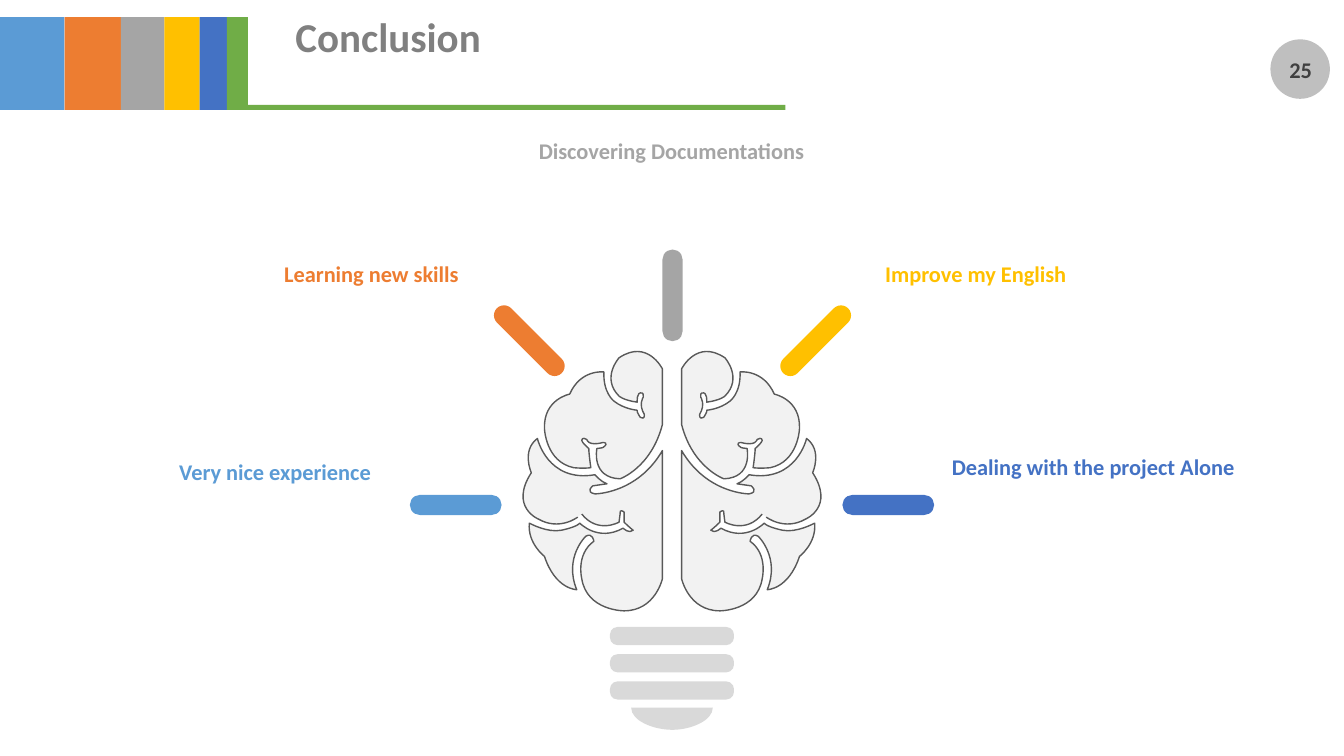
from lxml.etree import SubElement
from pptx import Presentation
from pptx.dml.color import RGBColor
from pptx.enum.shapes import MSO_SHAPE
from pptx.enum.text import MSO_ANCHOR, PP_ALIGN
from pptx.oxml.ns import qn
from pptx.util import Cm, Pt

BLUE = RGBColor(0x5B, 0x9B, 0xD5)
ORANGE = RGBColor(0xED, 0x7D, 0x31)
GRAY = RGBColor(0xA5, 0xA5, 0xA5)
GOLD = RGBColor(0xFF, 0xC0, 0x00)
NAVY = RGBColor(0x44, 0x72, 0xC4)
GREEN = RGBColor(0x70, 0xAD, 0x47)
TITLE = RGBColor(0x80, 0x80, 0x80)
BADGE = RGBColor(0xBF, 0xBF, 0xBF)
DARK = RGBColor(0x40, 0x40, 0x40)
BASE = RGBColor(0xD9, 0xD9, 0xD9)
BRAIN = RGBColor(0xF2, 0xF2, 0xF2)
EDGE = RGBColor(0x59, 0x59, 0x59)
LEFT, MID, RIGHT = PP_ALIGN.LEFT, PP_ALIGN.CENTER, PP_ALIGN.RIGHT

# Content; all numbers are inches
WIDE, HIGH = 13.33, 7.5
BARS = [(0.64, BLUE), (0.56, ORANGE), (0.43, GRAY),
        (0.35, GOLD), (0.27, NAVY), (0.21, GREEN)]
# Label, colour, label left, top, align, ray centre x, y, turn
IDEAS = [
    ("Very nice experience", BLUE, 0.6, 4.55, RIGHT, 4.52, 5.01, 0),
    ("Learning new skills", ORANGE, 1.47, 2.58, RIGHT, 5.25, 3.38, 45),
    ("Discovering Documentations", GRAY, 5.12, 1.36, MID, 6.67, 2.93, 90),
    ("Improve my English", GOLD, 8.78, 2.58, LEFT, 8.09, 3.38, -45),
    ("Dealing with the project Alone", NAVY, 9.44, 4.5, LEFT, 8.81, 5.01, 0),
]
# Outlines: 2 numbers are a line; 4 or 6 a curve (4 starts at its own point)
UPPER = [
    (6.76, 3.66), (6.91, 3.36, 7.19, 3.55), (7.37, 3.75, 7.19, 3.93),
    (7.15, 3.97, 7.01, 3.99), (7.02, 3.88, 6.96, 3.9),
    (6.94, 3.91, 6.95, 3.94), (7, 4.01, 6.94, 4.11),
    (6.93, 4.17, 6.98, 4.14), (7.02, 4.08, 7.01, 4.07),
    (7.14, 4.06, 7.24, 3.98), (7.35, 3.9, 7.34, 3.69),
    (7.57, 3.66, 7.68, 3.91), (7.94, 3.96, 7.93, 4.25),
    (7.92, 4.58, 7.64, 4.64), (7.54, 4.65, 7.47, 4.64),
    (7.49, 4.5, 7.49, 4.45), (7.56, 4.39, 7.56, 4.37),
    (7.56, 4.33, 7.51, 4.36), (7.5, 4.43, 7.35, 4.39),
    (7.28, 4.39, 7.35, 4.44), (7.39, 4.45, 7.41, 4.45),
    (7.47, 4.74, 7.18, 4.75), (6.87, 4.64, 6.76, 4.21),
]
LOWER = [
    (7.6, 5.13), (7.78, 5.27, 7.99, 5.15), (8.28, 5.03, 8.06, 4.69),
    (8.16, 4.47, 8, 4.35), (7.9, 4.79, 7.43, 4.71),
    (7.37, 4.78, 7.31, 4.8), (7.45, 4.82), (7.53, 4.88, 7.43, 4.9),
    (7.01, 4.9, 6.76, 4.47), (6.76, 5.74), (6.83, 6.06, 7.14, 6.06),
    (7.51, 6.06, 7.56, 5.74), (7.62, 5.5, 7.44, 5.37),
    (7.45, 5.28, 7.52, 5.32), (7.74, 5.53, 7.61, 5.85),
    (7.82, 5.85, 7.93, 5.52), (8.1, 5.39, 8.08, 5.19),
    (7.9, 5.29, 7.76, 5.26), (7.61, 5.23, 7.58, 5.19),
    (7.4, 5.38, 7.15, 5.24), (7.09, 5.3, 7.05, 5.26),
    (7.08, 5.24, 7.14, 5.18), (7.14, 5.08), (7.19, 5.04, 7.18, 5.1),
    (7.19, 5.18), (7.4, 5.3, 7.56, 5.1),
]
CAP = [(6.26, 7.02), (7.07, 7.02), (7.07, 7.15, 6.85, 7.24, 6.67, 7.24),
       (6.48, 7.24, 6.26, 7.15, 6.26, 7.02)]


def size(n):
    return Cm(n * 2.54)


deck = Presentation()
deck.slide_width, deck.slide_height = size(WIDE), size(HIGH)
slide = deck.slides.add_slide(deck.slide_layouts[6])
shapes = slide.shapes


def paint(shape, fill, line=None):
    shape.shadow.inherit = False
    shape.fill.solid()
    shape.fill.fore_color.rgb = fill
    if line is None:
        shape.line.fill.background()
    else:
        shape.line.color.rgb = line
        shape.line.width = Pt(1)
    return shape


def block(kind, x, y, w, h, fill):
    return paint(shapes.add_shape(kind, size(x), size(y), size(w), size(h)), fill)


def write(text, x, y, w, h, color, points, align, anchor=MSO_ANCHOR.TOP, wrap=True):
    frame = shapes.add_textbox(size(x), size(y), size(w), size(h)).text_frame
    frame.margin_left = frame.margin_right = 0
    frame.margin_top = frame.margin_bottom = 0
    frame.word_wrap, frame.vertical_anchor = wrap, anchor
    para = frame.paragraphs[0]
    para.alignment = align
    run = para.add_run()
    run.text = text
    font = run.font
    font.name, font.size, font.bold = "Calibri", Pt(points), True
    font.color.rgb = color
    return para


def draw(parts, fill, line=None, flip=False, close=True):
    # Lay out every point, three for each curve
    dots, counts = [parts[0]], []
    for part in parts[1:]:
        nums = dots[-1] + part if len(part) == 4 else part
        pairs = list(zip(nums[::2], nums[1::2]))
        dots += pairs
        counts.append(len(pairs))
    dots = [(size(WIDE - x if flip else x), size(y)) for x, y in dots]
    pen = shapes.build_freeform(*dots[0], scale=1.0)
    pen.add_line_segments(dots[1:], close=close)
    shape = paint(pen.convert_to_shape(), fill, line)
    # Merge each three lines into one curve
    lines = iter(list(shape.element.iter(qn("a:lnTo"))))
    for count in counts:
        first = next(lines)
        if count == 3:
            first.tag = qn("a:cubicBezTo")
            for _ in range(2):
                extra = next(lines)
                spot = extra[0]
                SubElement(first, qn("a:pt"), x=spot.get("x"), y=spot.get("y"))
                extra.getparent().remove(extra)


# Page badge
block(MSO_SHAPE.OVAL, 12.6, 0.39, 0.59, 0.59, BADGE)
write("25", 12.5, 0.39, 0.8, 0.59, DARK, 16, MID, MSO_ANCHOR.MIDDLE)

# Header bars and rule
x = 0
for w, color in BARS:
    block(MSO_SHAPE.RECTANGLE, x, 0.17, w, 0.92, color)
    x += w
block(MSO_SHAPE.RECTANGLE, x, 1.04, 5.33, 0.05, GREEN)
title = write("Conclusion", 2.93, 0.16, 6.48, 0.45, TITLE, 29.3, LEFT,
              MSO_ANCHOR.MIDDLE, wrap=False)
title.line_spacing = 0.9

# Bulb base
for row in range(3):
    ring = block(MSO_SHAPE.ROUNDED_RECTANGLE, 6.05, 6.22 + row * 0.27, 1.23, 0.18, BASE)
    ring.adjustments[0] = 0.42
draw(CAP, BASE)

# Brain halves
for flip in (False, True):
    draw(UPPER, BRAIN, EDGE, flip)
    draw(LOWER, BRAIN, EDGE, flip, close=False)

# Rays and labels
LONG, THICK = 0.91, 0.2
for text, color, left, top, align, x, y, turn in IDEAS:
    ray = block(MSO_SHAPE.ROUNDED_RECTANGLE, x - LONG / 2, y - THICK / 2,
                LONG, THICK, color)
    ray.adjustments[0] = 0.5
    ray.rotation = turn
    write(text, left, top, 3.08, 0.27, color, 16, align)

deck.save("out.pptx")
